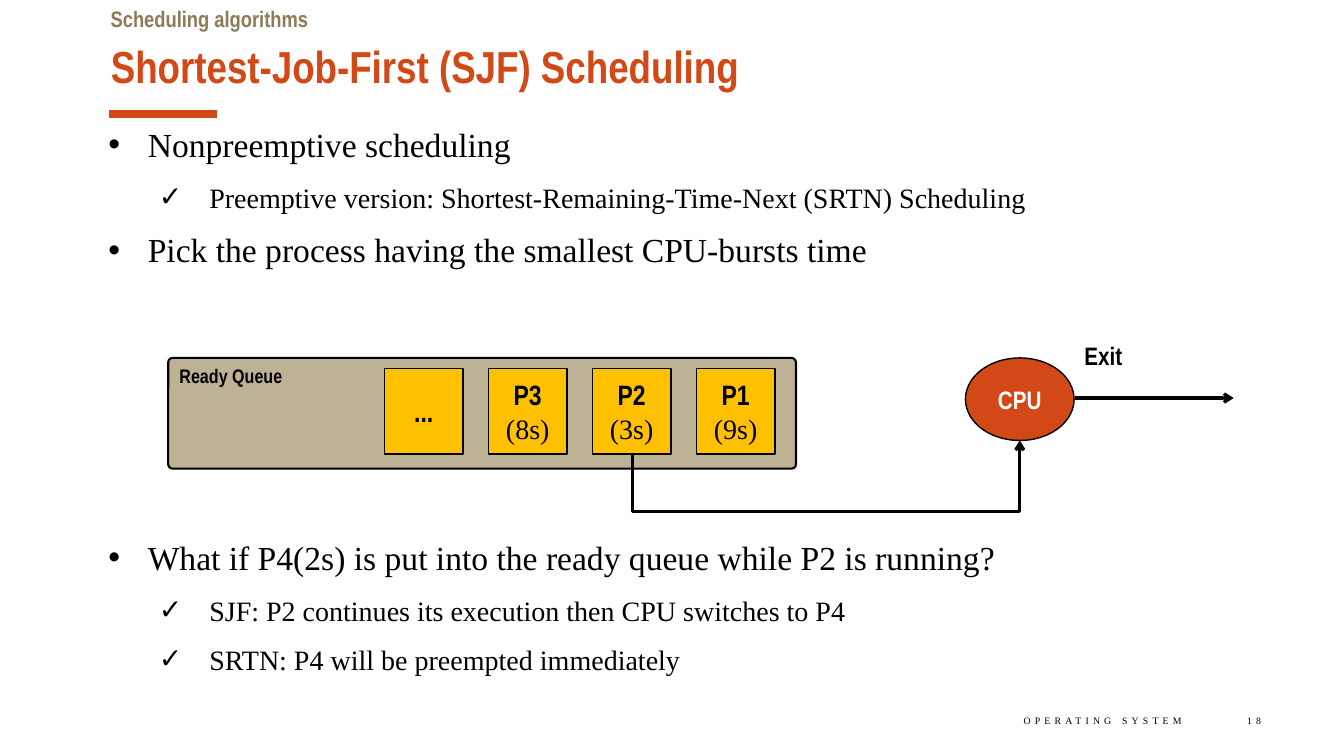
import pptx
import pptx.util
import pptx.dml.color
import pptx.enum.shapes
import pptx.enum.text
import pptx.oxml
import pptx.oxml.ns
from pptx.util import Cm

SHAPE = pptx.enum.shapes.MSO_SHAPE
LINK = pptx.enum.shapes.MSO_CONNECTOR
ALIGN = pptx.enum.text.PP_ALIGN
ANCHOR = pptx.enum.text.MSO_ANCHOR
NARROW, TIMES = "Arial Narrow", "Times New Roman"
BLACK, WHITE, RED = "000000", "FFFFFF", "D34817"
TAN, BROWN, GOLD = "BDB196", "8B7B57", "FFC000"


def rgb(code):
    return pptx.dml.color.RGBColor.from_string(code)


def add_tag(parent, tag, **attrs):
    """Append an empty DrawingML element to parent."""
    node = pptx.oxml.parse_xml(f"<a:{tag} {pptx.oxml.ns.nsdecls('a')}/>")
    for name, value in attrs.items():
        node.set(name, str(value))
    parent.append(node)


def apply(item, values):
    for name, value in values.items():
        setattr(item, name, value)


class Board:
    bold = {"name": NARROW, "bold": True}
    plain = {"name": TIMES, "bold": False}
    # Per list level: bullet, text size, left margin, hanging indent
    levels = [("•", 24, 1.57, -0.99), ("✓", 20, 3.12, -1.27)]

    def __init__(self, slide):
        self.slide = slide

    def place(self, shape, box):
        apply(shape, dict(zip(("left", "top", "width", "height"), map(Cm, box))))

    def fill_in(self, frame, lines, size, color=BLACK, align=ALIGN.LEFT, anchor=ANCHOR.TOP):
        """Fill frame with lines, each a pair of text and font values."""
        apply(frame, {"word_wrap": True, "vertical_anchor": anchor,
                      "auto_size": pptx.enum.text.MSO_AUTO_SIZE.NONE})
        for i, (text, face) in enumerate(lines):
            para = frame.add_paragraph() if i else frame.paragraphs[0]
            para.alignment = align
            run = para.add_run()
            run.text = text
            apply(run.font, {"size": pptx.util.Pt(size), **face})
            run.font.color.rgb = rgb(color)

    def title(self, text, box):
        shape = self.slide.shapes.title
        self.place(shape, box)
        self.fill_in(shape.text_frame, [(text, self.bold)], 32, RED, anchor=ANCHOR.MIDDLE)

    def bullets(self, index, box, items):
        shape = self.slide.placeholders[index]
        self.place(shape, box)
        frame = shape.text_frame
        self.fill_in(frame, [(text, self.plain) for _, text in items], 24)
        for para, (level, _) in zip(frame.paragraphs, items):
            mark, size, left, hang = self.levels[level]
            apply(para, {"level": level, "alignment": ALIGN.JUSTIFY,
                         "space_before": pptx.util.Pt(10),
                         "space_after": pptx.util.Pt(1.2)})
            para.runs[0].font.size = pptx.util.Pt(size)
            props = para._p.get_or_add_pPr()
            props.set("marL", str(int(Cm(left))))
            props.set("indent", str(int(Cm(hang))))
            add_tag(props, "buFont", typeface="Arial")
            add_tag(props, "buChar", char=mark)

    def text(self, box, text, size, color=BLACK):
        shape = self.slide.shapes.add_textbox(*map(Cm, box))
        self.fill_in(shape.text_frame, [(text, self.bold)], size, color)

    def footer(self, box, text):
        frame = self.slide.shapes.add_textbox(*map(Cm, box)).text_frame
        self.fill_in(frame, [(text, self.plain)], 7, align=ALIGN.RIGHT, anchor=ANCHOR.MIDDLE)
        frame.paragraphs[0].runs[0]._r.get_or_add_rPr().set("spc", "300")

    def shape(self, kind, box, fill, lines, size, color=BLACK, width=1,
              align=ALIGN.CENTER, anchor=ANCHOR.MIDDLE):
        shape = self.slide.shapes.add_shape(kind, *map(Cm, box))
        shape.shadow.inherit = False
        shape.fill.solid()
        shape.fill.fore_color.rgb = rgb(fill)
        shape.line.color.rgb = rgb(BLACK)
        shape.line.width = pptx.util.Pt(width)
        self.fill_in(shape.text_frame, lines, size, color, align, anchor)
        return shape

    def line(self, ends, color=BLACK, width=2.25, arrow=True, kind=LINK.STRAIGHT):
        link = self.slide.shapes.add_connector(kind, *map(Cm, ends))
        link.line.color.rgb = rgb(color)
        link.line.width = pptx.util.Pt(width)
        props = link._element.spPr
        if arrow:
            add_tag(props.find(pptx.oxml.ns.qn("a:ln")), "tailEnd", type="arrow")
        add_tag(props, "effectLst")
        return link

    def route(self, start, end, low):
        """Draw an elbow arrow that drops to low and rises to end."""
        (x1, y1), (x2, y2) = start, end
        midx, midy = (x1 + x2) / 2, (y1 + y2) / 2
        halfx, halfy = (y1 - y2) / 2, (x2 - x1) / 2
        link = self.line((midx + halfx, midy + halfy, midx - halfx, midy - halfy),
                         kind=LINK.ELBOW)
        props = link._element.spPr
        props.find(pptx.oxml.ns.qn("a:xfrm")).set("rot", str(90 * 60000))
        bend = round((y1 - low) / (y1 - y2) * 100000)
        add_tag(props.find(".//" + pptx.oxml.ns.qn("a:avLst")), "gd",
                name="adj1", fmla=f"val {bend}")


def main():
    deck = pptx.Presentation()
    apply(deck, {"slide_width": Cm(33.87), "slide_height": Cm(19.05)})
    board = Board(deck.slides.add_slide(deck.slide_layouts[3]))

    board.line((2.74, 2.87, 5.46, 2.87), RED, 6, arrow=False)
    board.title("Shortest-Job-First (SJF) Scheduling", (2.54, 0.89, 28.78, 1.55))
    board.text((2.54, 0, 28.78, 1.02), "Scheduling algorithms", 16, BROWN)
    board.bullets(1, (1.9, 3, 31.34, 5.05), [
        (0, "Nonpreemptive scheduling"),
        (1, "Preemptive version: Shortest-Remaining-Time-Next (SRTN) Scheduling"),
        (0, "Pick the process having the smallest CPU-bursts time")])
    board.bullets(2, (1.9, 13.41, 31.34, 5.05), [
        (0, "What if P4(2s) is put into the ready queue while P2 is running?"),
        (1, "SJF: P2 continues its execution then CPU switches to P4"),
        (1, "SRTN: P4 will be preempted immediately")])

    queue = board.shape(SHAPE.ROUNDED_RECTANGLE, (4.24, 9.02, 15.82, 2.79), TAN,
                        [("Ready Queue", board.bold)], 14, width=1.5,
                        align=ALIGN.LEFT, anchor=ANCHOR.TOP)
    queue.adjustments[0] = 0.04
    board.shape(SHAPE.OVAL, (24.33, 9.02, 2.74, 2.08), RED,
                [("CPU", board.bold)], 18, WHITE)
    board.text((27.08, 8.46, 2.44, 1.02), "Exit", 18)
    board.line((27.08, 10.03, 31.09, 10.03))
    board.route((15.94, 11.43), (25.7, 11.1), 12.9)

    jobs = [("P1", "(9s)"), ("P2", "(3s)"), ("P3", "(8s)"), ("...",)]
    for i, job in enumerate(jobs):
        board.shape(SHAPE.RECTANGLE, (17.55 - 2.62 * i, 9.28, 1.98, 2.16), GOLD,
                    list(zip(job, (board.bold, board.plain))), 20)

    board.footer((18.8, 17.65, 11.23, 1.02), "OPERATING SYSTEM")
    board.footer((30.02, 17.65, 2.01, 1.02), "18")
    deck.save("out.pptx")


if __name__ == "__main__":
    main()
